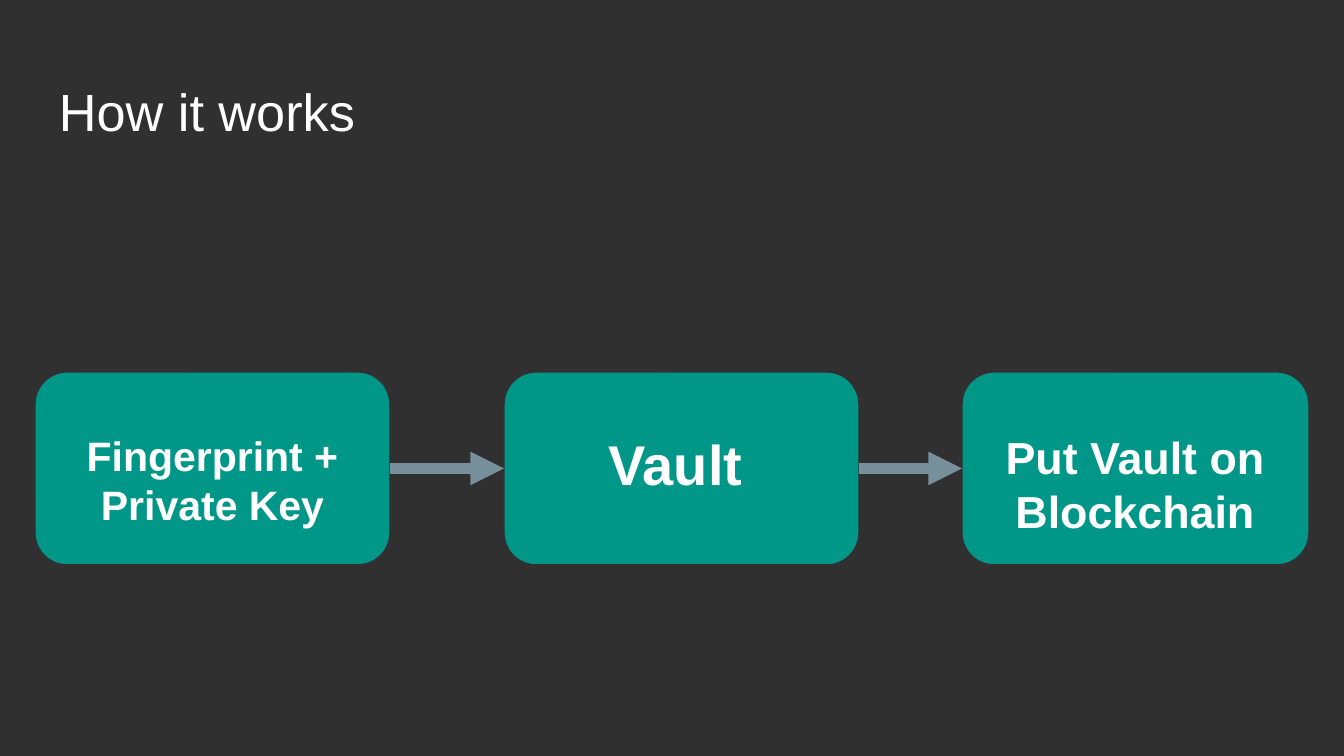
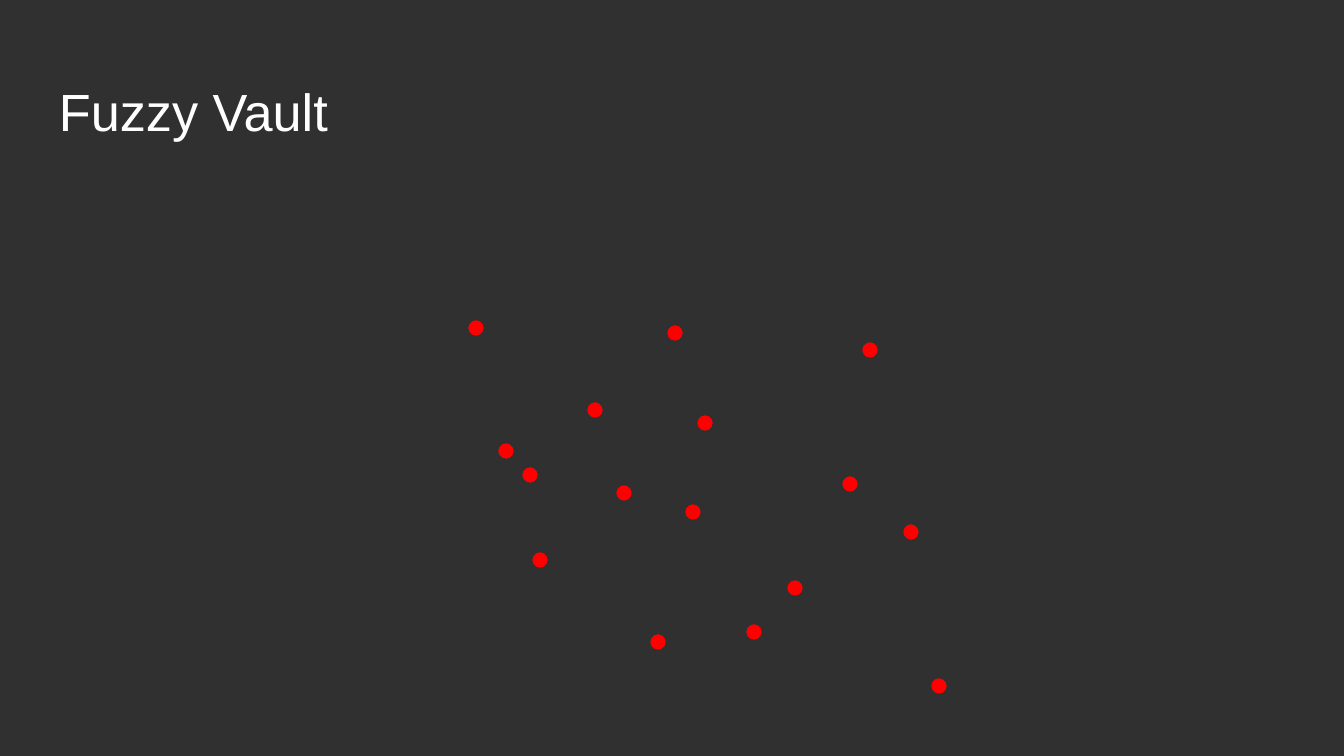
from pptx import Presentation
from pptx import util as u
from pptx.dml.color import RGBColor
from pptx.enum import shapes, text
from pptx.oxml.ns import qn
from lxml import etree

HUES = {"back": "303030", "white": "FFFFFF", "box": "009688",
        "arrow": "78909C", "dot": "FF0000"}
FONT = "Arial"
SCALE = 914400 / 134.4  # EMU in one px
WIDE, HIGH = 1344, 756
INSET = 13
DOT = 17


def px(*sizes):
    return [u.Emu(round(n * SCALE)) for n in sizes]


def hue(name):
    return RGBColor.from_string(HUES[name])


class Deck:
    def __init__(self):
        self.prs = Presentation()
        self.prs.slide_width, self.prs.slide_height = px(WIDE, HIGH)
        fill = self.prs.slide_master.background.fill
        fill.solid()
        fill.fore_color.rgb = hue("back")
        self.slide = None

    def page(self, title):
        """Start a slide with its title."""
        self.slide = self.prs.slides.add_slide(self.prs.slide_layouts[5])
        head = self.slide.shapes.title
        head.left, head.top, head.width, head.height = px(46, 66, 1253, 85)
        self.label(head, title, 28, text.PP_ALIGN.LEFT)

    def label(self, shape, words, size, align, bold=False):
        frame = shape.text_frame
        frame.text = words
        frame.word_wrap = True
        frame.auto_size = text.MSO_AUTO_SIZE.NONE
        frame.vertical_anchor = text.MSO_ANCHOR.TOP
        (frame.margin_left, frame.margin_top,
         frame.margin_right, frame.margin_bottom) = px(*[INSET] * 4)
        para = frame.paragraphs[0]
        para.alignment = align
        font = para.font
        font.name, font.size, font.bold = FONT, u.Pt(size), bold
        font.color.rgb = hue("white")

    def shape(self, home, kind, spot, color):
        item = home.add_shape(kind, *px(*spot))
        item.shadow.inherit = False
        item.fill.solid()
        item.fill.fore_color.rgb = hue(color)
        item.line.color.rgb = hue("back")
        item.line.width = u.Pt(0.75)
        return item

    def box(self, spot, area, words, size):
        """Group a rounded box with its label."""
        home = self.slide.shapes.add_group_shape().shapes
        item = self.shape(home, shapes.MSO_SHAPE.ROUNDED_RECTANGLE, spot, "box")
        note = home.add_textbox(*px(*area))
        self.label(note, words, size, text.PP_ALIGN.CENTER, True)
        return item

    def arrow(self, start, end):
        """Join the right side of one box to the left side of the next."""
        line = self.slide.shapes.add_connector(
            shapes.MSO_CONNECTOR.STRAIGHT, 0, 0, 0, 0)
        line.begin_connect(start, 3)
        line.end_connect(end, 1)
        line.line.color.rgb = hue("arrow")
        line.line.width = u.Pt(6)
        props = line.element.spPr
        etree.SubElement(props.find(qn("a:ln")), qn("a:tailEnd"), type="triangle")
        etree.SubElement(props, qn("a:effectLst"))

    def dot(self, x, y):
        """Place a dot by its centre."""
        spot = (x - DOT / 2, y - DOT / 2, DOT, DOT)
        self.shape(self.slide.shapes, shapes.MSO_SHAPE.OVAL, spot, "dot")


def main():
    deck = Deck()

    # Steps: box left and width, label left and width, words, size
    deck.page("How it works")
    steps = [
        (35, 355, 62, 301, "Fingerprint + Private Key", 22),
        (504, 355, 525, 301, "Vault", 30),
        (962, 347, 988, 294, "Put Vault on Blockchain", 24),
    ]
    boxes = [deck.box((x, 372, w, 193), (left, 417, span, 102), words, size)
             for x, w, left, span, words, size in steps]
    for start, end in zip(boxes, boxes[1:]):
        deck.arrow(start, end)

    # Scattered points
    deck.page("Fuzzy Vault")
    points = [
        (595, 410), (658, 642), (754, 632), (850, 484),
        (675, 333), (795, 588), (530, 475), (693, 512),
        (624, 493), (476, 328), (540, 560), (705, 423),
        (939, 686), (506, 451), (870, 350), (911, 532),
    ]
    for x, y in points:
        deck.dot(x, y)

    deck.prs.save("out.pptx")


if __name__ == "__main__":
    main()
